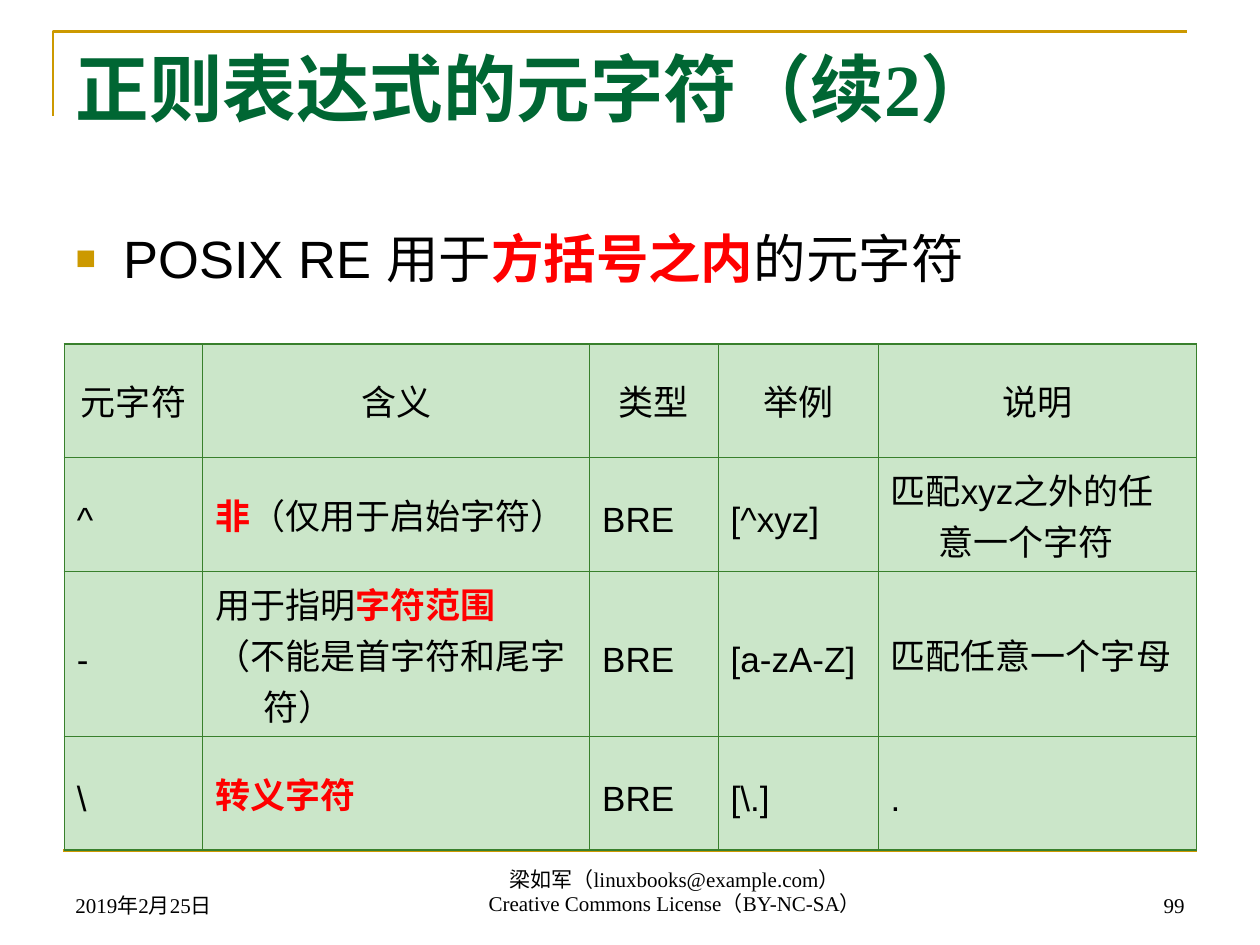
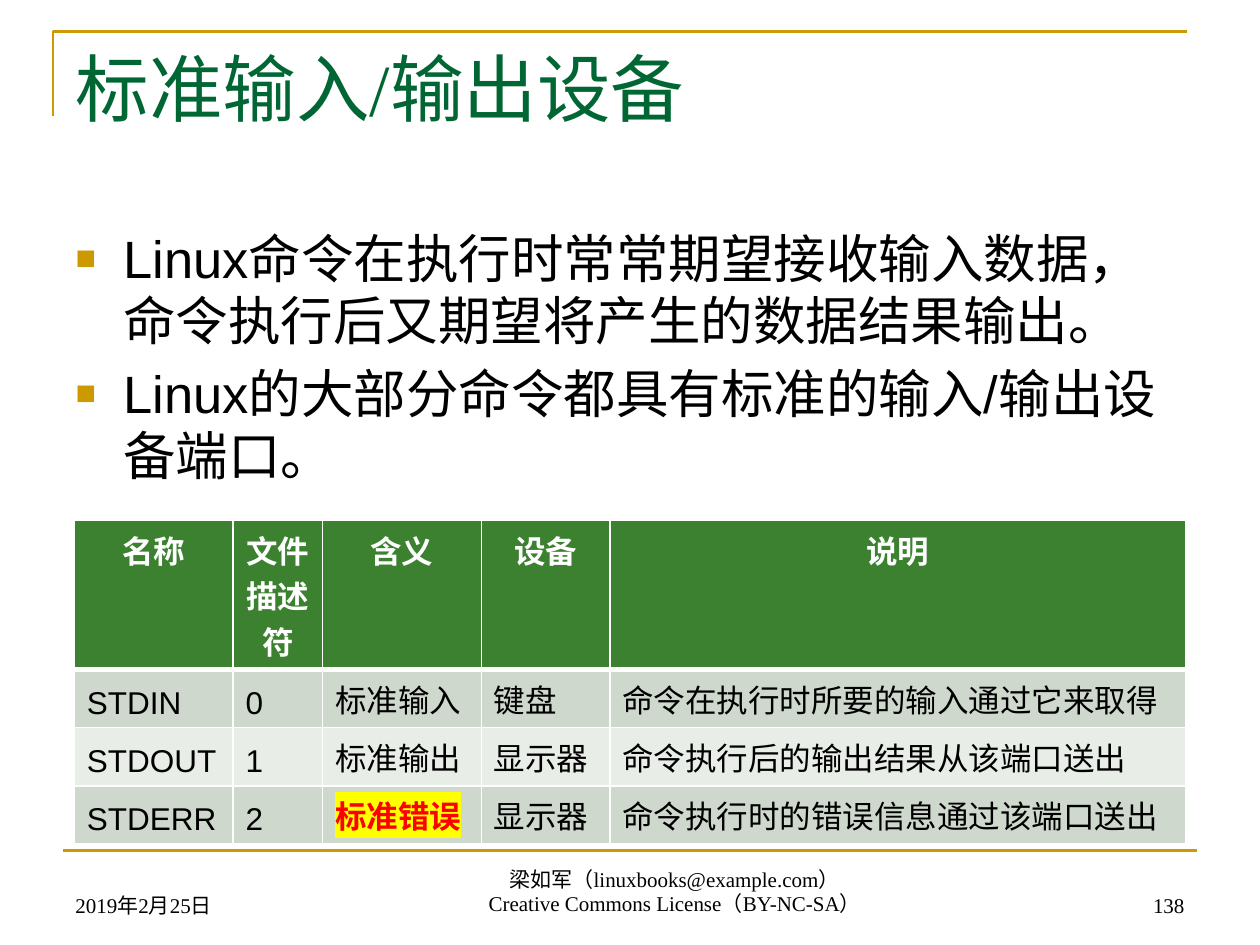
from lxml import etree
from pptx import Presentation
from pptx import util as u
from pptx.dml.color import RGBColor
from pptx.enum import shapes, text
from pptx.oxml import ns

COLORS = {
    "gold": "CC9900", "title": "006633", "black": "000000", "white": "FFFFFF",
    "red": "FF0000", "yellow": "FFFF00", "border": "38802C", "pale": "CBE6C9",
    "header": "3B812F", "band": "CED8CD", "light": "E8EDE8",
}
SANS, SERIF = "Arial", "Times New Roman"
LEFT, CENTER, RIGHT = text.PP_ALIGN.LEFT, text.PP_ALIGN.CENTER, text.PP_ALIGN.RIGHT
TOP, MIDDLE, BOTTOM = (text.MSO_ANCHOR.TOP, text.MSO_ANCHOR.MIDDLE,
                       text.MSO_ANCHOR.BOTTOM)
HANG = 0.38

# Text between ** marks is emphasised in bold red.
SLIDES = [
    {
        "title": "正则表达式的元字符（续2）", "title_bold": True, "number": "99",
        "body_height": 0.58,
        "body": ["POSIX RE 用于**方括号之内**的元字符"],
        "table": {
            "left": 0.51, "top": 2.73, "size": 20, "line": 29,
            "columns": [1.1, 3.07, 1.02, 1.27, 2.53],
            "heights": [0.9, 0.9, 1.31, 0.9],
            "fills": ["pale"] * 4,
            "border": ("border", 0.75), "header_rule": 0.75,
            "header": {"color": "black", "bold": False, "anchor": MIDDLE,
                       "hang": HANG},
            "rows": [
                ["元字符", "含义", "类型", "举例", "说明"],
                ["^", "**非**（仅用于启始字符）", "BRE", "[^xyz]",
                 "匹配xyz之外的任意一个字符"],
                ["-", "用于指明**字符范围**\n（不能是首字符和尾字符）", "BRE",
                 "[a-zA-Z]", "匹配任意一个字母"],
                ["\\", "**转义字符**", "BRE", "[\\.]", "."],
            ],
        },
    },
    {
        "title": "标准输入/输出设备", "title_bold": False, "number": "138",
        "body_height": 4.95,
        "body": ["Linux命令在执行时常常期望接收输入数据，命令执行后又期望将产生的数据结果输出。",
                 "Linux的大部分命令都具有标准的输入/输出设备端口。"],
        "table": {
            "left": 0.59, "top": 4.13, "size": 18, "line": 26,
            "columns": [1.26, 0.71, 1.26, 1.02, 4.57],
            "heights": [1.18, 0.46, 0.46, 0.46],
            "fills": ["header", "band", "light", "band"],
            "border": ("white", 1), "header_rule": 3, "highlight": "yellow",
            "header": {"color": "white", "bold": True, "anchor": TOP, "hang": 0},
            "rows": [
                ["名称", "文件描述符", "含义", "设备", "说明"],
                ["STDIN", "0", "标准输入", "键盘", "命令在执行时所要的输入通过它来取得"],
                ["STDOUT", "1", "标准输出", "显示器", "命令执行后的输出结果从该端口送出"],
                ["STDERR", "2", "**标准错误**", "显示器",
                 "命令执行时的错误信息通过该端口送出"],
            ],
        },
    },
]
DATE = "2019年2月25日"
CREDIT = ["梁如军（linuxbooks@example.com）", "Creative Commons License（BY-NC-SA）"]


def rgb(name):
    return RGBColor.from_string(COLORS[name])


def add_xml(parent, tag, **attributes):
    return etree.SubElement(parent, ns.qn(tag), attributes)


def set_color(parent, name):
    add_xml(add_xml(parent, "a:solidFill"), "a:srgbClr", val=COLORS[name])


def set_hang(paragraph, inches):
    pPr = paragraph._p.get_or_add_pPr()
    pPr.set("marL", str(u.Inches(inches)))
    pPr.set("indent", str(-u.Inches(inches)))


def set_bullet(paragraph):
    set_hang(paragraph, HANG)
    pPr = paragraph._p.get_or_add_pPr()
    add_xml(add_xml(pPr, "a:buClr"), "a:srgbClr", val=COLORS["gold"])
    add_xml(pPr, "a:buSzPct", val="65000")
    add_xml(pPr, "a:buChar", char="■")


def write_runs(paragraph, marked, font, size, color="black", bold=False,
               highlight=None):
    for i, part in enumerate(marked.split("**")):
        if not part:
            continue
        strong = i % 2 == 1
        run = paragraph.add_run()
        run.text = part
        formats = {"name": font, "size": u.Pt(size), "bold": bold or strong}
        for key, value in formats.items():
            setattr(run.font, key, value)
        run.font.color.rgb = rgb("red" if strong else color)
        if strong and highlight:
            mark = etree.Element(ns.qn("a:highlight"))
            add_xml(mark, "a:srgbClr", val=COLORS[highlight])
            run.font._element.find(ns.qn("a:solidFill")).addnext(mark)


def write_lines(frame, lines, font, size, spacing, align=LEFT, hang=None,
                bulleted=False, gap=0, **style):
    for i, line in enumerate(lines):
        paragraph = frame.add_paragraph() if i else frame.paragraphs[0]
        if bulleted:
            set_bullet(paragraph)
        elif hang:
            set_hang(paragraph, hang)
        formats = {"alignment": align, "line_spacing": u.Pt(spacing),
                   "space_before": u.Pt(gap if i else 0)}
        for key, value in formats.items():
            setattr(paragraph, key, value)
        write_runs(paragraph, line, font, size, **style)


def set_frame(shape, anchor):
    formats = {"word_wrap": True, "auto_size": text.MSO_AUTO_SIZE.NONE,
               "vertical_anchor": anchor}
    for key, value in formats.items():
        setattr(shape.text_frame, key, value)
    return shape.text_frame


def place(shape, *box):
    for key, value in zip(("left", "top", "width", "height"), box):
        setattr(shape, key, u.Inches(value))


def add_rules(slide):
    corner = slide.shapes.build_freeform(u.Inches(0.42), u.Inches(0.92))
    corner.add_line_segments([(u.Inches(0.42), u.Inches(0.25)),
                              (u.Inches(9.42), u.Inches(0.25))], close=False)
    bracket = corner.convert_to_shape()
    bracket.fill.background()
    bracket.shadow.inherit = False
    base = slide.shapes.add_connector(
        shapes.MSO_CONNECTOR.STRAIGHT,
        *[u.Inches(v) for v in (0.5, 6.75, 9.5, 6.75)])
    add_xml(base._element.spPr, "a:effectLst")
    for rule in (bracket, base):
        rule.line.color.rgb = rgb("gold")
        rule.line.width = u.Pt(1.5)


def add_footers(slide, number):
    footers = [((0.5, 6.83, 2.33, 0.5), [DATE], LEFT),
               ((2.4, 6.82, 5.91, 0.5), CREDIT, CENTER),
               ((7.17, 6.83, 2.33, 0.5), [number], RIGHT)]
    for box, lines, align in footers:
        footer = slide.shapes.add_textbox(*[u.Inches(v) for v in box])
        write_lines(set_frame(footer, BOTTOM), lines, SERIF, 12, 14.2, align)


def set_borders(cell, color, widths):
    tcPr = cell._tc.get_or_add_tcPr()
    for i, (side, width) in enumerate(widths.items()):
        line = etree.Element(ns.qn("a:ln" + side), w=str(u.Pt(width)))
        set_color(line, color)
        tcPr.insert(i, line)


def add_grid(slide, grid):
    columns, heights = grid["columns"], grid["heights"]
    box = (grid["left"], grid["top"], sum(columns), sum(heights))
    table = slide.shapes.add_table(len(heights), len(columns),
                                   *[u.Inches(v) for v in box]).table
    table.first_row = table.horz_banding = False
    for column, width in zip(table.columns, columns):
        column.width = u.Inches(width)
    color, width = grid["border"]
    head = grid["header"]
    for r, row in enumerate(grid["rows"]):
        table.rows[r].height = u.Inches(heights[r])
        for c, content in enumerate(row):
            cell = table.cell(r, c)
            cell.fill.solid()
            cell.fill.fore_color.rgb = rgb(grid["fills"][r])
            set_borders(cell, color, {
                "L": width, "R": width,
                "T": grid["header_rule"] if r == 1 else width,
                "B": grid["header_rule"] if r == 0 else width})
            if r == 0:
                cell.vertical_anchor = head["anchor"]
                style = {"align": CENTER, "hang": head["hang"],
                         "color": head["color"], "bold": head["bold"]}
            else:
                cell.vertical_anchor = MIDDLE
                style = {"hang": HANG, "highlight": grid.get("highlight")}
            write_lines(cell.text_frame, content.split("\n"), SANS,
                        grid["size"], grid["line"], **style)


def add_page(deck, page):
    slide = deck.slides.add_slide(deck.slide_layouts[1])
    add_rules(slide)
    title, body = slide.shapes.title, slide.placeholders[1]
    place(title, 0.5, 0.3, 9, 1.25)
    write_lines(set_frame(title, TOP), [page["title"]], SERIF, 42, 49.6,
                color="title", bold=page["title_bold"])
    place(body, 0.5, 1.75, 9, page["body_height"])
    write_lines(set_frame(body, TOP), page["body"], SANS, 30, 35.5,
                bulleted=True, gap=6)
    add_footers(slide, page["number"])
    add_grid(slide, page["table"])


def main():
    deck = Presentation()
    deck.slide_width, deck.slide_height = u.Inches(10), u.Inches(7.5)
    for page in SLIDES:
        add_page(deck, page)
    deck.save("out.pptx")


if __name__ == "__main__":
    main()
